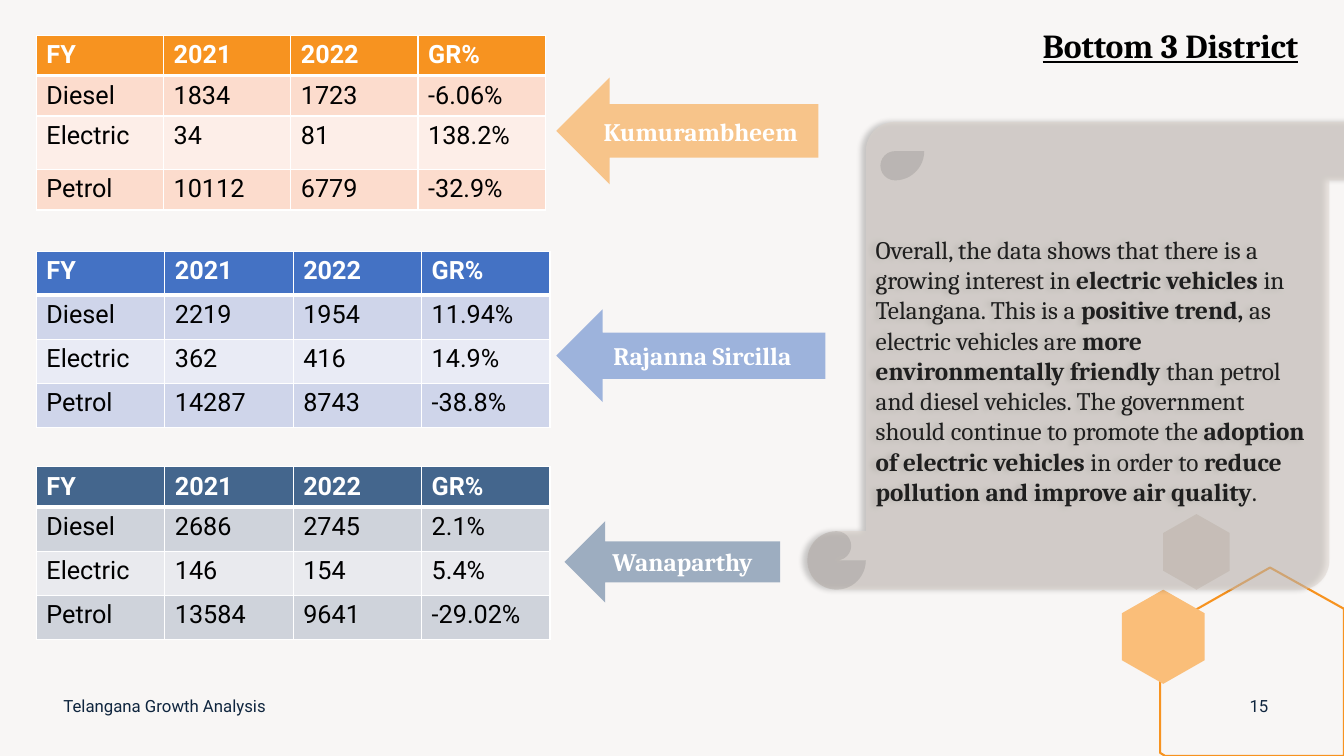
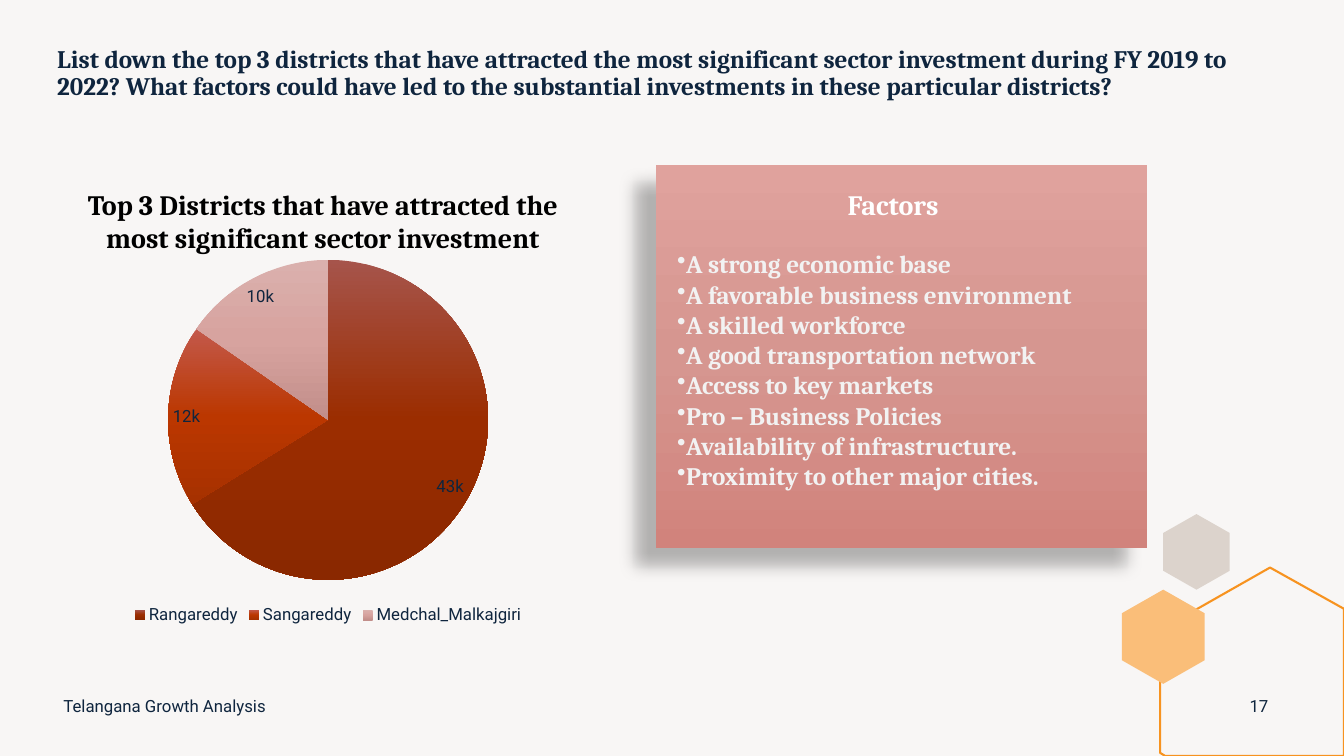
from dataclasses import dataclass
from typing import Optional

import pptx
import pptx.chart.data
import pptx.dml.color
import pptx.enum.chart
import pptx.enum.shapes
import pptx.enum.text
import pptx.oxml
import pptx.oxml.ns
import pptx.util
from lxml import etree

Pt = pptx.util.Pt
Align = pptx.enum.text.PP_ALIGN
Anchor = pptx.enum.text.MSO_ANCHOR
Shape = pptx.enum.shapes.MSO_SHAPE

COLOURS = {
    "background": "F8F6F5",
    "navy": "0F253E",
    "black": "000000",
    "body": "1F1F1F",
    "white": "FFFFFF",
    "pale": "F2F2F2",
    "sand": "DCD3CC",
    "orange": "F79320",
    "apricot": "FABE79",
    "blue": "4472C4",
    "slate": "44668D",
}
SERIF = "Cambria"
SANS = "Roboto"
FOOTER = "Telangana Growth Analysis"
TABLE_HEADER = ("FY", "2021", "2022", "GR%")
CARD_GRADIENT = ("E0A29D", "D69690", "D1837C")


@dataclass(frozen=True)
class Box:
    left: float
    top: float
    width: float
    height: float

    def lengths(self) -> tuple:
        return Pt(self.left), Pt(self.top), Pt(self.width), Pt(self.height)


@dataclass(frozen=True)
class TextStyle:
    size: float
    colour: str
    face: str = SERIF
    bold: bool = False
    underline: bool = False
    align: int = Align.LEFT
    spacing: Optional[float] = None


@dataclass(frozen=True)
class Polygon:
    points: tuple
    fill: Optional[str] = None
    line: Optional[str] = None


@dataclass(frozen=True)
class District:
    name: str
    colour: str
    bands: tuple
    table: Box
    row_heights: tuple
    rows: tuple
    arrow: Box


@dataclass(frozen=True)
class Investment:
    district: str
    amount: int
    gradient: tuple


def hexagon(left: float, top: float, width: float, height: float) -> tuple:
    middle, right = left + width / 2, left + width
    upper, lower = top + height / 4, top + height * 3 / 4
    return ((middle, top), (right, upper), (right, lower),
            (middle, top + height), (left, lower), (left, upper))


DECORATIONS = (
    Polygon(hexagon(830.9, 367.2, 47.5, 54), fill="sand"),
    Polygon(((907.2, 405.4), (960, 434.9), (960, 540), (832.3, 540),
             (828.7, 537.8), (828.7, 450)), line="orange"),
    Polygon(hexagon(801.4, 421.2, 59, 67.3), fill="apricot"),
)

DISTRICTS = (
    District("Kumurambheem", "orange", ("FCDCCD", "FDEEE8"),
             Box(26, 25.2, 363.6, 125), (28.5, 28.8, 38.2, 29),
             (("Diesel", "1834", "1723", "-6.06%"),
              ("Electric", "34", "81", "138.2%"),
              ("Petrol", "10112", "6779", "-32.9%")),
             Box(397.4, 55.4, 187.2, 76.3)),
    District("Rajanna Sircilla", "blue", ("CFD5EA", "E9EBF5"),
             Box(26, 179.4, 367, 126), (31.5, 31.5, 31.5, 31.5),
             (("Diesel", "2219", "1954", "11.94%"),
              ("Electric", "362", "416", "14.9%"),
              ("Petrol", "14287", "8743", "-38.8%")),
             Box(397.4, 221, 192.2, 66.2)),
    District("Wanaparthy", "slate", ("CFD3DB", "E9EAEE"),
             Box(26, 333.4, 367, 123), (28.5, 31.5, 31.5, 31.5),
             (("Diesel", "2686", "2745", "2.1%"),
              ("Electric", "146", "154", "5.4%"),
              ("Petrol", "13584", "9641", "-29.02%")),
             Box(403.2, 372.2, 154.1, 58.3)),
)

SUMMARY = (
    ("Overall, the data shows that there is a growing interest in ", False),
    ("electric vehicles ", True),
    ("in Telangana. This is a ", False),
    ("positive trend, ", True),
    ("as electric vehicles are ", False),
    ("more environmentally friendly ", True),
    ("than petrol and diesel vehicles. The government should continue to promote the ", False),
    ("adoption of electric vehicles ", True),
    ("in order to ", False),
    ("reduce pollution and improve air quality", True),
    (".", False),
)

INVESTMENTS = (
    Investment("Rangareddy", 43000, ("A6544B", "9B2D00", "8A2800")),
    Investment("Sangareddy", 12000, ("C3594B", "BB3700", "A63100")),
    Investment("Medchal_Malkajgiri", 10000, ("DAB0AD", "D7A39F", "C28E8A")),
)

QUESTION = (
    "List down the top 3 districts that have attracted the most significant sector "
    "investment during FY 2019 to 2022? What factors could have led to the substantial "
    "investments in these particular districts?"
)
CHART_HEADING = "Top 3 Districts that have attracted the most significant sector investment"
FACTORS = (
    "A strong economic base",
    "A favorable business environment",
    "A skilled workforce",
    "A good transportation network",
    "Access to key markets",
    "Pro – Business Policies",
    "Availability of infrastructure.",
    "Proximity to other major cities.",
)


def rgb(colour: str) -> pptx.dml.color.RGBColor:
    return pptx.dml.color.RGBColor.from_string(COLOURS.get(colour, colour))


def add_element(parent, tag: str, **attributes):
    element = etree.SubElement(parent, pptx.oxml.ns.qn(tag))
    for name, value in attributes.items():
        element.set(name, str(value))
    return element


def style_font(font, style: TextStyle) -> None:
    font.size, font.name, font.bold = Pt(style.size), style.face, style.bold
    font.underline = style.underline
    font.color.rgb = rgb(style.colour)


def style_paragraph(paragraph, style: TextStyle) -> None:
    style_font(paragraph.font, style)
    paragraph.alignment = style.align
    if style.spacing:
        paragraph.line_spacing = style.spacing


def add_text(slide, box: Box, lines: tuple, style: TextStyle,
             anchor=Anchor.TOP, bullet: str = "") -> None:
    frame = slide.shapes.add_textbox(*box.lengths()).text_frame
    frame.word_wrap = True
    frame.vertical_anchor = anchor
    for index, line in enumerate(lines):
        paragraph = frame.add_paragraph() if index else frame.paragraphs[0]
        paragraph.text = line
        if bullet:
            properties = paragraph._p.get_or_add_pPr()
            add_element(properties, "a:buChar", char=bullet)
        style_paragraph(paragraph, style)


def add_plain_shape(slide, kind: int, box: Box):
    shape = slide.shapes.add_shape(kind, *box.lengths())
    shape.shadow.inherit = False
    shape.line.fill.background()
    return shape


def fill_half_transparent(shape, colour: str) -> None:
    shape.fill.solid()
    shape.fill.fore_color.rgb = rgb(colour)
    for element in shape._element.spPr.xpath("./a:solidFill/a:srgbClr"):
        add_element(element, "a:alpha", val=50000)


def fill_gradient(fill, element, colours: tuple) -> None:
    fill.gradient()
    fill.gradient_angle = 270
    stops = element.xpath("./*/a:gradFill/a:gsLst")[0]
    for stop in list(stops):
        stops.remove(stop)
    for index, colour in enumerate(colours):
        stop = add_element(stops, "a:gs", pos=index * 100000 // (len(colours) - 1))
        add_element(stop, "a:srgbClr", val=colour)


def add_shadow(shape, blur: float, distance: float, angle: int, opacity: int) -> None:
    effects = shape._element.spPr.xpath("./a:effectLst")[0]
    shadow = add_element(effects, "a:outerShdw", blurRad=Pt(blur), dist=Pt(distance),
                         dir=angle * 60000, algn="ctr", rotWithShape=0)
    colour = add_element(shadow, "a:srgbClr", val=COLOURS["black"])
    add_element(colour, "a:alpha", val=opacity * 1000)


def add_polygon(slide, polygon: Polygon) -> None:
    points = [(Pt(x), Pt(y)) for x, y in polygon.points]
    builder = slide.shapes.build_freeform(*points[0])
    builder.add_line_segments(points[1:], close=True)
    shape = builder.convert_to_shape()
    shape.shadow.inherit = False
    if polygon.fill:
        shape.fill.solid()
        shape.fill.fore_color.rgb = rgb(polygon.fill)
    else:
        shape.fill.background()
    if polygon.line:
        shape.line.color.rgb = rgb(polygon.line)
        shape.line.width = Pt(1.5)
    else:
        shape.line.fill.background()


def add_base_slide(presentation, number: int):
    slide = presentation.slides.add_slide(presentation.slide_layouts[6])
    slide.background.fill.solid()
    slide.background.fill.fore_color.rgb = rgb("background")
    for polygon in DECORATIONS:
        add_polygon(slide, polygon)
    add_text(slide, Box(38.2, 489.6, 324, 28.8), (FOOTER,),
             TextStyle(12, "navy", SANS), Anchor.MIDDLE)
    add_text(slide, Box(881.3, 489.6, 36, 28.8), (str(number),),
             TextStyle(12, "navy", SANS, align=Align.CENTER), Anchor.MIDDLE)
    return slide


def add_borders(cell, bottom_width: float) -> None:
    properties = cell._tc.get_or_add_tcPr()
    widths = {"a:lnL": 1, "a:lnR": 1, "a:lnT": 1, "a:lnB": bottom_width}
    for index, (tag, width) in enumerate(widths.items()):
        line = add_element(properties, tag, w=Pt(width))
        add_element(add_element(line, "a:solidFill"), "a:srgbClr", val=COLOURS["white"])
        properties.insert(index, line)


def add_district_table(slide, district: District) -> None:
    rows = (TABLE_HEADER,) + district.rows
    table = slide.shapes.add_table(len(rows), len(TABLE_HEADER), *district.table.lengths()).table
    for row, height in zip(table.rows, district.row_heights):
        row.height = Pt(height)
    for row_index, values in enumerate(rows):
        header = row_index == 0
        colour = district.colour if header else district.bands[(row_index - 1) % 2]
        style = TextStyle(18, "white" if header else "black", SANS, bold=header)
        for column_index, value in enumerate(values):
            cell = table.cell(row_index, column_index)
            cell.text = value
            style_paragraph(cell.text_frame.paragraphs[0], style)
            cell.fill.solid()
            cell.fill.fore_color.rgb = rgb(colour)
            add_borders(cell, 3 if header else 1)


def add_district_arrow(slide, district: District) -> None:
    arrow = add_plain_shape(slide, Shape.LEFT_ARROW, district.arrow)
    fill_half_transparent(arrow, district.colour)
    arrow.text_frame.text = district.name
    arrow.text_frame.vertical_anchor = Anchor.MIDDLE
    style_paragraph(arrow.text_frame.paragraphs[0],
                    TextStyle(18, "white", bold=True, align=Align.CENTER))


def add_summary_scroll(slide) -> None:
    scroll = add_plain_shape(slide, Shape.VERTICAL_SCROLL, Box(576.7, 87.1, 414.7, 334.1))
    fill_half_transparent(scroll, "sand")
    add_shadow(scroll, 4, 3, 180, 40)
    scroll.text_frame.vertical_anchor = Anchor.MIDDLE
    paragraph = scroll.text_frame.paragraphs[0]
    style_paragraph(paragraph, TextStyle(18, "body"))
    for text, bold in SUMMARY:
        run = paragraph.add_run()
        run.text = text
        run.font.bold = bold


def add_investment_pie(slide) -> None:
    data = pptx.chart.data.CategoryChartData()
    data.categories = [item.district for item in INVESTMENTS]
    data.add_series("Series 1", [item.amount for item in INVESTMENTS])
    chart = slide.shapes.add_chart(pptx.enum.chart.XL_CHART_TYPE.PIE,
                                   *Box(38.2, 175.7, 392.4, 273.6).lengths(), data).chart
    style = TextStyle(12, "navy", SANS)
    style_font(chart.font, style)
    chart.has_title = False
    chart.has_legend = True
    chart.legend.position = pptx.enum.chart.XL_LEGEND_POSITION.BOTTOM
    chart.legend.include_in_layout = False
    style_font(chart.legend.font, style)
    plot = chart.plots[0]
    plot.vary_by_categories = True
    plot.has_data_labels = True
    labels = plot.data_labels
    labels.show_value = True
    labels.number_format, labels.number_format_is_linked = '0,"k"', False
    labels.position = pptx.enum.chart.XL_LABEL_POSITION.BEST_FIT
    style_font(labels.font, style)
    for index, item in enumerate(INVESTMENTS):
        point_format = plot.series[0].points[index].format
        fill_gradient(point_format.fill, point_format._element, item.gradient)
        point_format.line.fill.background()


def build_bottom_districts(presentation) -> None:
    slide = add_base_slide(presentation, 15)
    add_text(slide, Box(733, 14.4, 205.9, 36), ("Bottom 3 District",),
             TextStyle(24, "black", bold=True, underline=True, align=Align.CENTER))
    add_summary_scroll(slide)
    for district in DISTRICTS:
        add_district_table(slide, district)
        add_district_arrow(slide, district)


def build_top_districts(presentation) -> None:
    slide = add_base_slide(presentation, 17)
    add_text(slide, Box(33.8, 29.5, 857.5, 68.4), (QUESTION,),
             TextStyle(18, "navy", bold=True, spacing=0.9))
    add_investment_pie(slide)
    card = add_plain_shape(slide, Shape.FLOWCHART_PREDEFINED_PROCESS,
                           Box(468.7, 118.1, 350.6, 273.6))
    fill_gradient(card.fill, card._element, CARD_GRADIENT)
    add_shadow(card, 11.8, 19.7, 141, 28)
    add_text(slide, Box(585.4, 130.3, 105.1, 31.7), ("Factors",),
             TextStyle(20, "white", bold=True, align=Align.CENTER))
    add_text(slide, Box(476.6, 174.2, 350.6, 247), FACTORS,
             TextStyle(18, "pale", bold=True), bullet="•")
    add_text(slide, Box(46.1, 130.3, 369.4, 55.4), (CHART_HEADING,),
             TextStyle(20, "black", bold=True, align=Align.CENTER))


def main() -> None:
    presentation = pptx.Presentation()
    presentation.slide_width, presentation.slide_height = Pt(960), Pt(540)
    build_bottom_districts(presentation)
    build_top_districts(presentation)
    presentation.save("out.pptx")


if __name__ == "__main__":
    main()
